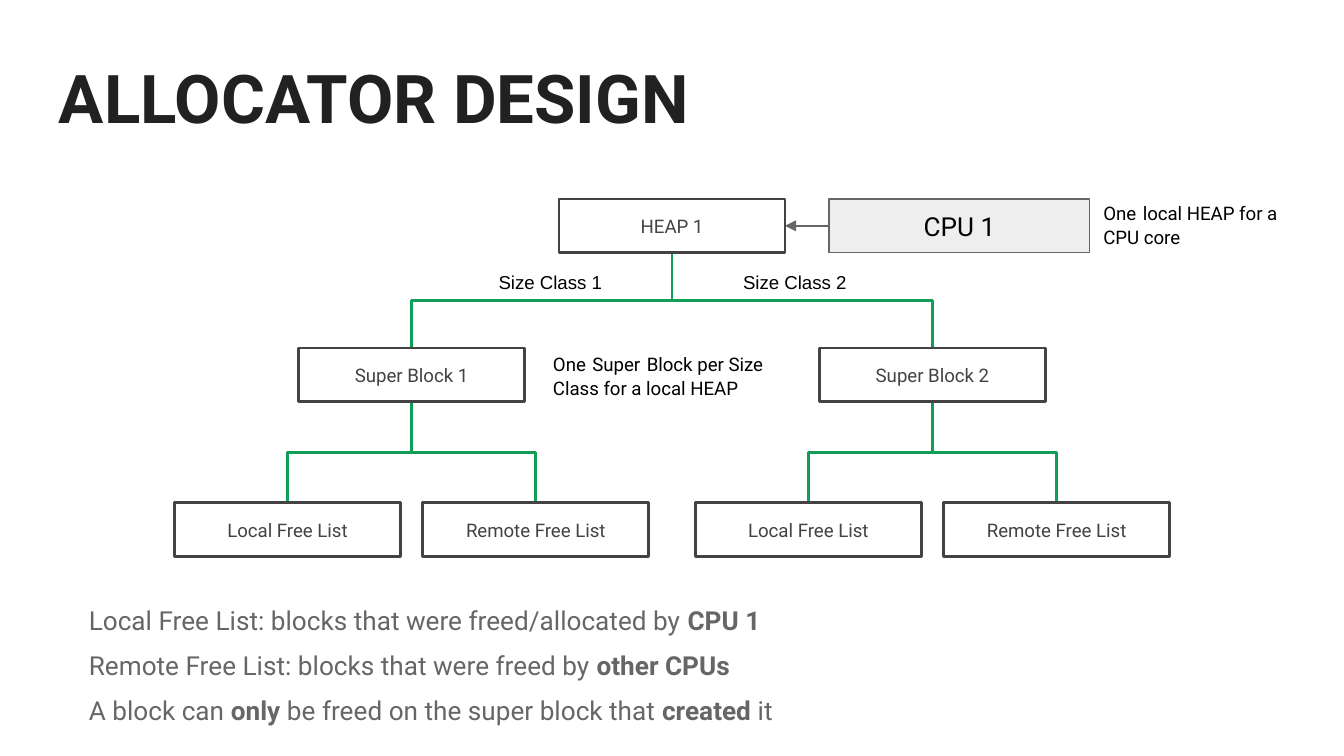
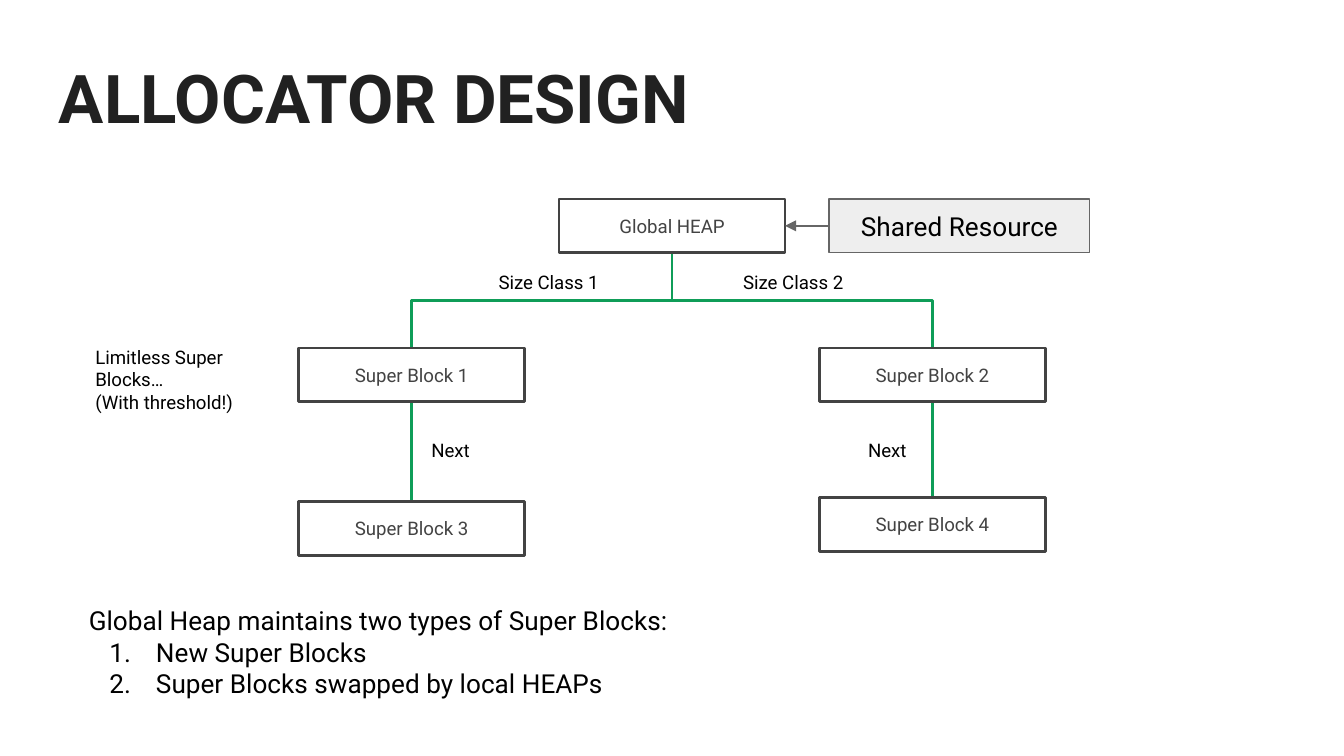
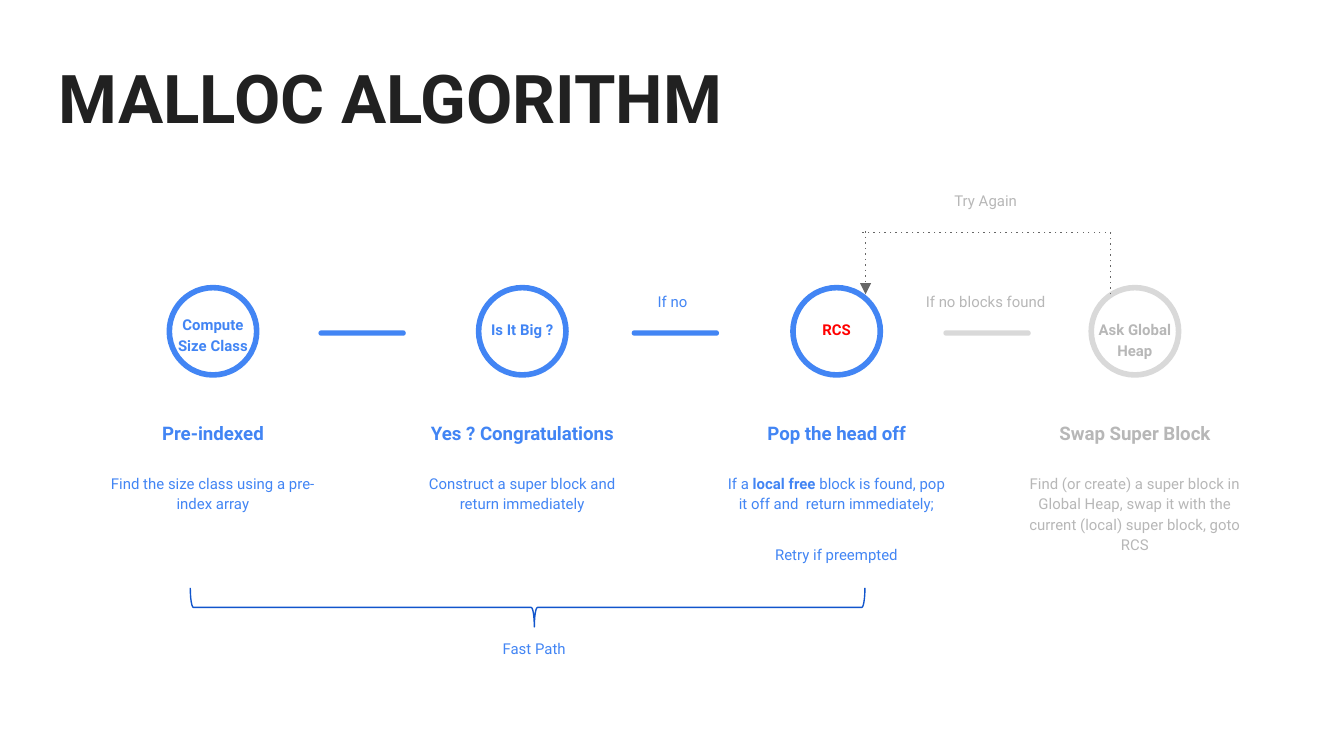
from lxml.etree import SubElement
from pptx import Presentation
from pptx.dml.color import RGBColor
from pptx.enum.shapes import MSO_CONNECTOR, MSO_SHAPE
from pptx.enum.text import MSO_ANCHOR, PP_ALIGN
from pptx.oxml.ns import qn
from pptx.util import Pt

# Shared look
FONT = "Roboto"
INK, BLACK, GRAY = "212121", "000000", "666666"
BOX_INK, GREEN, PANEL = "434343", "0F9D58", "EEEEEE"
BLUE, DARK_BLUE, RED = "4285F4", "1155CC", "FF0000"
PALE, PALE_TEXT = "D9D9D9", "B7B7B7"
CENTER = PP_ALIGN.CENTER
color_of = RGBColor.from_string


def add_box(slide, left, top, width, height, text="", size=10, color=BLACK, bold=False,
            align=PP_ALIGN.LEFT, anchor=MSO_ANCHOR.TOP, spacing=None, after=None,
            font=FONT, marked_size=None, kind=None, fill=None, line=None, weight=1.5):
    """Add a text box, or a shape if kind is given; *marked* runs are bold or resized."""
    place = Pt(left), Pt(top), Pt(width), Pt(height)
    if kind is None:
        shape = slide.shapes.add_textbox(*place)
    else:
        shape = slide.shapes.add_shape(kind, *place)
        shape.shadow.inherit = False
        if fill:
            shape.fill.solid()
            shape.fill.fore_color.rgb = color_of(fill)
        else:
            shape.fill.background()
        if line:
            shape.line.color.rgb = color_of(line)
            shape.line.width = Pt(weight)
        else:
            shape.line.fill.background()
    if not text:
        return shape

    frame = shape.text_frame
    frame.word_wrap = True
    frame.vertical_anchor = anchor
    frame.margin_left = frame.margin_right = frame.margin_top = frame.margin_bottom = Pt(7.2)
    for number, content in enumerate(text.split("\n")):
        paragraph = frame.add_paragraph() if number else frame.paragraphs[0]
        first, *others = content.split("*")
        paragraph.text = first
        for other in others:
            paragraph.add_run().text = other
        paragraph.alignment = align
        paragraph.line_spacing = spacing
        if after:
            paragraph.space_after = Pt(after)
        for index, run in enumerate(paragraph.runs):
            marked = index % 2 == 1
            run.font.name = font
            run.font.size = Pt(marked_size if marked and marked_size else size)
            run.font.bold = bold or (marked and not marked_size)
            run.font.color.rgb = color_of(color)
    return shape


def add_line(slide, start, end, color, weight, kind=MSO_CONNECTOR.STRAIGHT,
             dash=None, arrow=False):
    connector = slide.shapes.add_connector(kind, *[Pt(value) for value in (*start, *end)])
    connector.line.color.rgb = color_of(color)
    connector.line.width = Pt(weight)
    properties = connector._element.spPr
    outline = properties.find(qn("a:ln"))
    if dash:
        SubElement(outline, qn("a:prstDash")).set("val", dash)
    if arrow:
        SubElement(outline, qn("a:tailEnd")).set("type", "triangle")
    SubElement(properties, qn("a:effectLst"))
    return connector


presentation = Presentation()
presentation.slide_width = Pt(720)
presentation.slide_height = Pt(405)

# Slides and their titles
slides = []
for title in ("ALLOCATOR DESIGN", "ALLOCATOR DESIGN", "MALLOC ALGORITHM"):
    slide = presentation.slides.add_slide(presentation.slide_layouts[6])
    add_box(slide, 24.5, 23, 671, 63.4, title, 36, INK, bold=True)
    slides.append(slide)
local_slide, global_slide, malloc_slide = slides

# Heap trees: each node is (label, centre, top, index of its parent)
NODE_WIDTH, NODE_HEIGHT = 121, 28.8
HEAP_X, LEFT_X, RIGHT_X = 360, 220.5, 499.5
HEAP_TOP, BLOCK_TOP, LIST_TOP = 106.6, 186.5, 269.4
LIST_OFFSET = 66.5
blocks = [("Super Block 1", LEFT_X, BLOCK_TOP, 0), ("Super Block 2", RIGHT_X, BLOCK_TOP, 0)]
free_lists = [(label, center + side * LIST_OFFSET, LIST_TOP, parent)
              for parent, center in ((1, LEFT_X), (2, RIGHT_X))
              for label, side in (("Local Free List", -1), ("Remote Free List", 1))]
next_blocks = [("Super Block 3", LEFT_X, 268.7, 1), ("Super Block 4", RIGHT_X, 266.5, 2)]
trees = [
    (local_slide, "HEAP 1", free_lists, "CPU 1", "Arial"),
    (global_slide, "Global HEAP", next_blocks, "Shared Resource", FONT),
]
for slide, heap, leaves, owner, label_font in trees:
    nodes = [(heap, HEAP_X, HEAP_TOP, None), *blocks, *leaves]

    # Green elbows, laid out sideways and turned so that they leave vertically
    for label, center, top, parent in nodes[1:]:
        parent_center = nodes[parent][1]
        parent_bottom = nodes[parent][2] + NODE_HEIGHT
        middle_x, middle_y = (center + parent_center) / 2, (top + parent_bottom) / 2
        half_rise, half_run = (top - parent_bottom) / 2, abs(center - parent_center) / 2
        if center > parent_center:
            half_rise = -half_rise
        elbow = add_line(slide, (middle_x - half_rise, middle_y - half_run),
                         (middle_x + half_rise, middle_y + half_run),
                         GREEN, 1.5, MSO_CONNECTOR.ELBOW)
        elbow._element.spPr.find(qn("a:xfrm")).set("rot", "16200000")

    for label, center, top, parent in nodes:
        add_box(slide, center - NODE_WIDTH / 2, top, NODE_WIDTH, NODE_HEIGHT, label, 10, BOX_INK,
                align=CENTER, anchor=MSO_ANCHOR.MIDDLE, kind=MSO_SHAPE.RECTANGLE, line=BOX_INK)

    # Owner of the heap and size class labels
    add_box(slide, 444.2, HEAP_TOP, 139.7, NODE_HEIGHT, owner, 14, align=CENTER,
            anchor=MSO_ANCHOR.MIDDLE, kind=MSO_SHAPE.RECTANGLE, fill=PANEL, line=GRAY, weight=0.75)
    add_line(slide, (444.2, 121), (420.5, 121), GRAY, 0.75, arrow=True)
    for left, label in ((260, "Size Class 1"), (391, "Size Class 2")):
        add_box(slide, left, 139, 78.5, 20, label, font=label_font)

# Local heap: rules and notes
rules = [
    "Local Free List: blocks that were freed/allocated by *CPU 1",
    "Remote Free List: blocks that were freed by *other CPUs",
    "A block can *only* be freed on the super block that *created *it",
]
for row, rule in enumerate(rules):
    add_box(local_slide, 40.5, 316.8 + row * 24, 638.6, 28.8, rule, 14, GRAY)
add_box(local_slide, 289.2, 178, 152, 47.5,
        "One* *Super* *Block per Size Class for a local HEAP", marked_size=14)
add_box(local_slide, 584, 96.8, 111.6, 47.5, "One* *local HEAP for a CPU core", marked_size=14)

# Global heap: numbered list and notes
kinds = add_box(global_slide, 40.5, 316.8, 638.6, 82.8,
                "Global Heap maintains two types of Super Blocks:\n"
                "New Super Blocks\nSuper Blocks swapped by local HEAPs", 14)
for paragraph in kinds.text_frame.paragraphs[1:]:
    properties = paragraph._p.get_or_add_pPr()
    properties.set("marL", str(Pt(36)))
    properties.set("indent", str(-Pt(25)))
    SubElement(properties, qn("a:buAutoNum")).set("type", "arabicPeriod")
for left in (224, 458):
    add_box(global_slide, left, 229, 78.5, 20, "Next")
add_box(global_slide, 44, 178, 106.6, 59, "Limitless Super Blocks…\n(With threshold!)")

# Malloc steps: centre, ring, text colour, label (width, top, colour), heading, body
CIRCLE, COLUMN_WIDTH = 46.8, 134.6
small = {"size": 8, "align": CENTER, "spacing": 1.15, "after": 16}
steps = [
    (114.1, BLUE, BLUE, "Compute Size Class", 52.8, 160.6, BLUE, "Pre-indexed",
     "Find the size class using a pre-index array"),
    (279.8, BLUE, BLUE, "Is It Big ?", 60.5, 164.9, BLUE, "Yes ? Congratulations",
     "Construct a super block and return immediately"),
    (448.2, BLUE, BLUE, "RCS", 60.5, 164.9, RED, "Pop the head off",
     "If a *local free *block is found, pop it off and  return immediately;\nRetry if preempted"),
    (608, PALE, PALE_TEXT, "Ask Global Heap", 56.4, 163.4, PALE_TEXT, "Swap Super Block",
     "Find (or create) a super block in Global Heap, swap it with the current (local) "
     "super block, goto RCS"),
]
for center, ring, color, label, width, top, label_color, heading, body in steps:
    left = center - COLUMN_WIDTH / 2
    add_box(malloc_slide, center - CIRCLE / 2, 154.1, CIRCLE, CIRCLE,
            kind=MSO_SHAPE.OVAL, line=ring, weight=3)
    add_box(malloc_slide, center - width / 2, top, width, 35, label,
            color=label_color, bold=True, **small)
    add_box(malloc_slide, left, 209.5, COLUMN_WIDTH, 35.3, heading, 10, color, bold=True,
            align=CENTER, anchor=MSO_ANCHOR.BOTTOM, spacing=1.15)
    add_box(malloc_slide, left, 245.5, COLUMN_WIDTH, 58.3, body, color=color, **small)

# Bars between the steps
for left, fill in ((170.6, BLUE), (338.4, BLUE), (505.4, PALE)):
    bar = add_box(malloc_slide, left, 177, 46.8, 2.9, kind=MSO_SHAPE.ROUNDED_RECTANGLE, fill=fill)
    bar.adjustments[0] = 0.5

# Dotted way back to the third step
add_line(malloc_slide, (595.4, 124.5), (460.8, 124.5), GRAY, 0.75, dash="dot")
add_line(malloc_slide, (594.8, 157.7), (594.8, 125), GRAY, 0.75, dash="dot")
add_line(malloc_slide, (463.7, 124), (463.7, 157.7), GRAY, 0.75, dash="dot", arrow=True)

# Brace under the fast path
brace = add_box(malloc_slide, 272.2, 144.7, 20.9, 361.4,
                kind=MSO_SHAPE.LEFT_BRACE, line=DARK_BLUE, weight=0.75)
brace.rotation = 270
brace.adjustments[0] = 0.08
brace.adjustments[1] = 0.51

# Captions
captions = [
    (293, 149.8, "If no", BLUE),
    (460.8, 149.8, "If no blocks found", PALE_TEXT),
    (460.8, 95.8, "Try Again", PALE_TEXT),
    (218.9, 335.5, "Fast Path", BLUE),
]
for left, top, caption, color in captions:
    add_box(malloc_slide, left, top, COLUMN_WIDTH, 58.3, caption, color=color, **small)

presentation.save("out.pptx")
